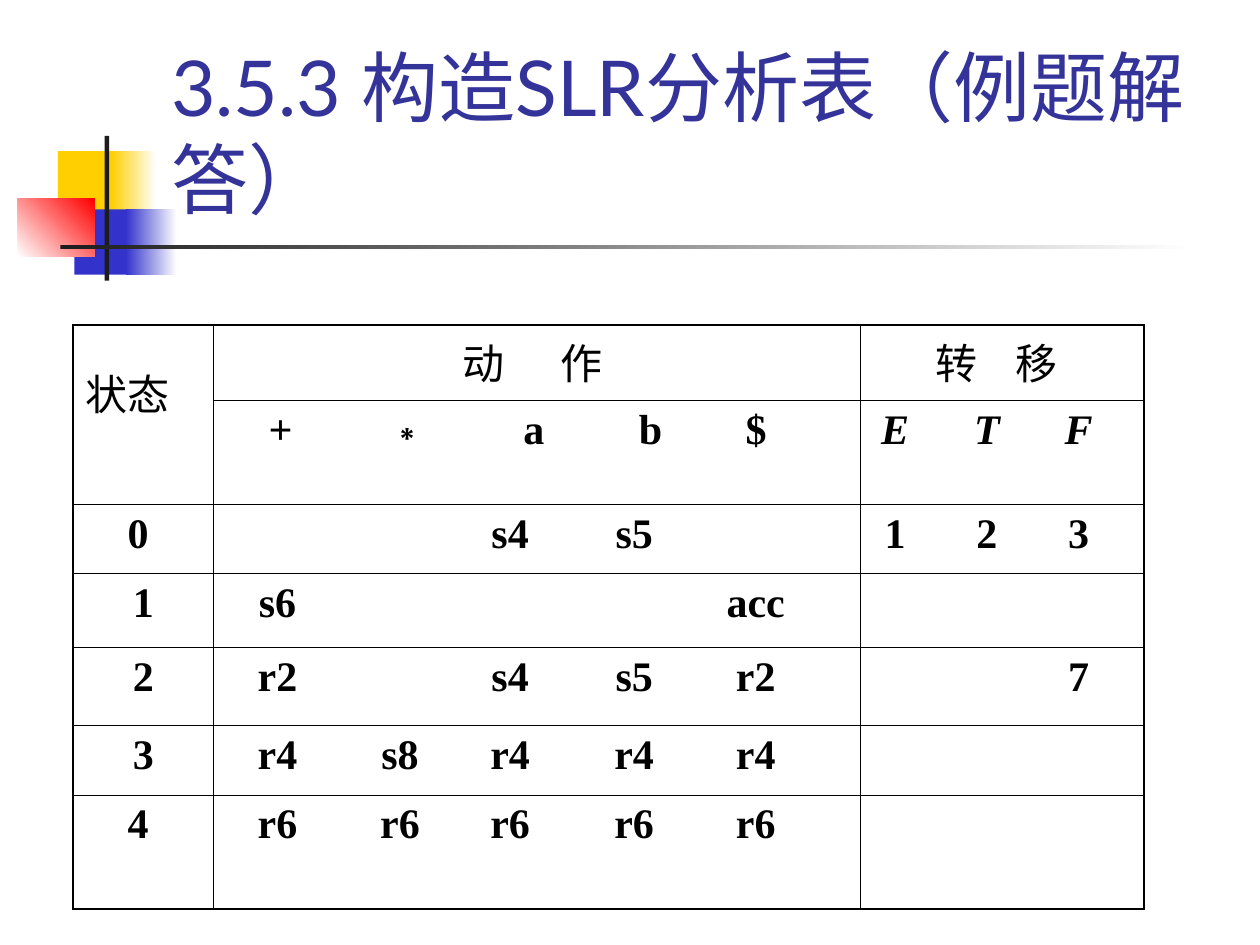
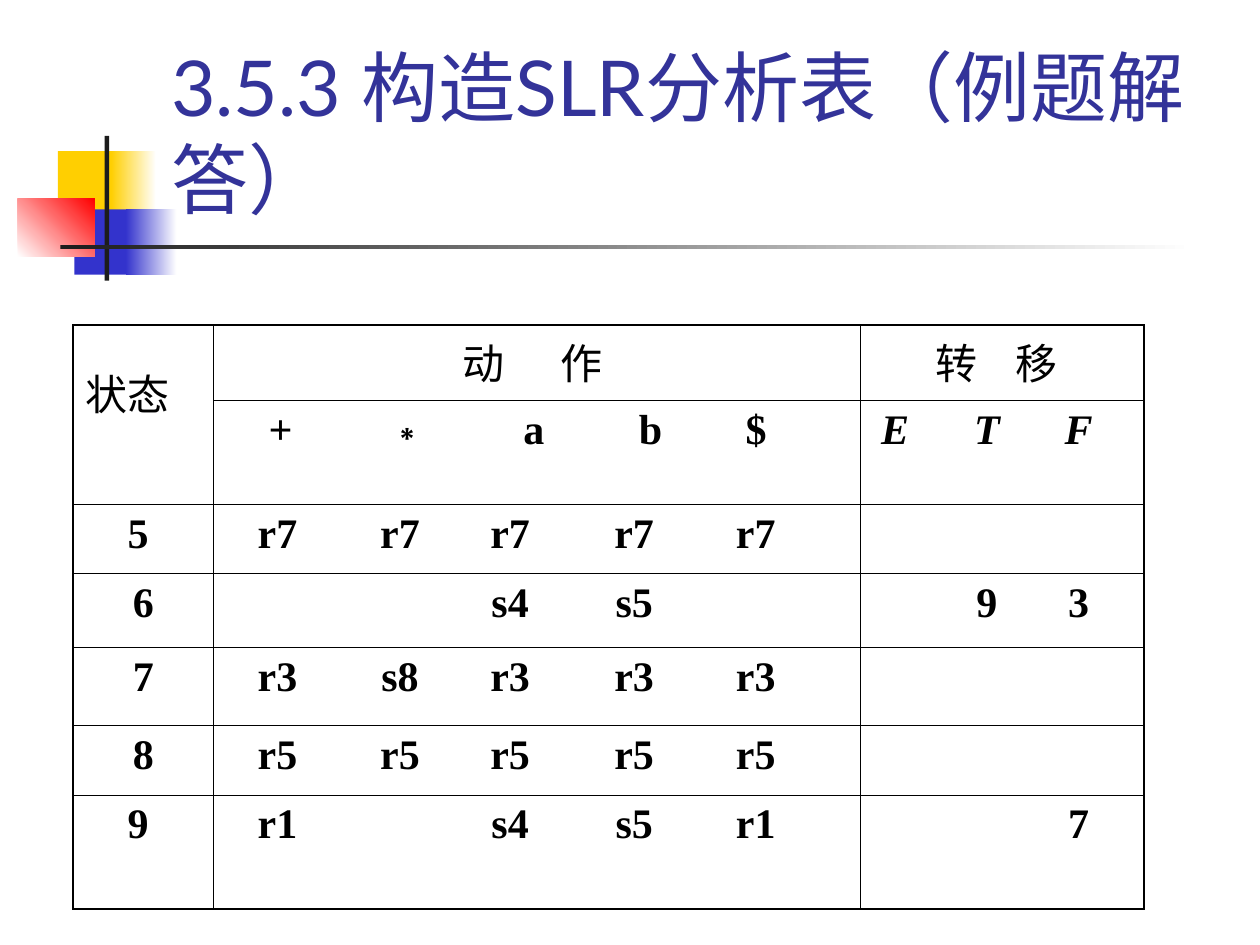
from dataclasses import dataclass

import pptx
import pptx.dml.color
import pptx.enum.shapes
import pptx.enum.text
import pptx.oxml.ns
import pptx.util
from lxml import etree

Cm = pptx.util.Cm
Pt = pptx.util.Pt
qn = pptx.oxml.ns.qn


@dataclass(frozen=True)
class Theme:
    white: str = "FFFFFF"
    black: str = "000000"
    ink: str = "1C1C1C"
    yellow: str = "FFCF01"
    blue: str = "3333CC"
    red: str = "FF0000"
    title: str = "333399"
    title_font: str = "Lato"
    body_font: str = "Times New Roman"
    symbol_font: str = "Arial"
    chinese_font: str = "Noto Sans CJK SC"
    title_size: int = 44
    body_size: int = 24
    outer_line: float = 1.08
    inner_line: float = 0.45


THEME = Theme()

TITLE = "3.5.3 构造SLR分析表（例题解答）"
TITLE_BOX = (3.2, 0.58, 21.64, 4.06)
EMBLEM_BOX = (0.36, 2.74, 23.72, 2.92)
TABLE_BOX = (1.47, 6.55, 21.59, 11.73)

COLUMN_WIDTHS = (2.84, 13.03, 5.72)
ROW_HEIGHTS = (1.52, 2.1, 1.39, 1.5, 1.57, 1.4, 2.29)

ACTION_HEADING_STOPS = (5.18, 7.16)
GOTO_HEADING_STOPS = (1.68, 3.3)
SYMBOL_STOPS = (1.09, 3.65, 6.2, 8.55, 10.68)
ACTION_STOPS = (1.03, 3.5, 5.72, 8.22, 10.67)
GOTO_STOPS = (0.45, 2.3, 4.15)

SYMBOLS = ("+", "∗", "a", "b", "$")
NONTERMINALS = ("E", "T", "F")
NO_GOTO = ("", "", "")

STATES_0_TO_4 = (
    ("0 ", ("", "", "s4", "s5", ""), ("1", "2", "3")),
    ("1", ("s6", "", "", "", "acc"), NO_GOTO),
    ("2", ("r2", "", "s4", "s5", "r2"), ("", "", "7")),
    ("3", ("r4", "s8", "r4", "r4", "r4"), NO_GOTO),
    ("4 ", ("r6",) * 5, NO_GOTO),
)
STATES_5_TO_9 = (
    ("5 ", ("r7",) * 5, NO_GOTO),
    ("6", ("", "", "s4", "s5", ""), ("", "9", "3")),
    ("7", ("r3", "s8", "r3", "r3", "r3"), NO_GOTO),
    ("8", ("r5",) * 5, NO_GOTO),
    ("9 ", ("r1", "", "s4", "s5", "r1"), ("", "", "7")),
)


def rgb(value):
    return pptx.dml.color.RGBColor.from_string(value)


def write_text(frame, text, font=THEME.body_font, size=THEME.body_size,
               color=THEME.black, bold=False, italic=False, align="LEFT",
               spacing=None, stops=()):
    paragraph = frame.paragraphs[0]
    if stops:
        tabs = etree.SubElement(paragraph._p.get_or_add_pPr(), qn("a:tabLst"))
        for stop in stops:
            etree.SubElement(tabs, qn("a:tab"), pos=str(int(Cm(stop))), algn="ctr")
    paragraph.alignment = getattr(pptx.enum.text.PP_ALIGN, align)
    if spacing:
        paragraph.line_spacing = spacing
    before, symbol, after = text.partition("∗")
    pieces = ((before, font), (symbol, THEME.symbol_font), (after, font))
    for content, typeface in pieces:
        if not content:
            continue
        run = paragraph.add_run()
        run.text = content
        run.font.name = typeface
        run.font.size = Pt(size)
        run.font.bold = bold
        run.font.italic = italic
        run.font.color.rgb = rgb(color)
        latin = run._r.rPr.find(qn("a:latin"))
        east_asian = etree.Element(qn("a:ea"), typeface=THEME.chinese_font)
        latin.addnext(east_asian)


def write_entries(cell, entries, stops, **text_format):
    if any(entries):
        text = "".join("\t" + entry for entry in entries).rstrip("\t")
        write_text(cell.text_frame, text, stops=stops, **text_format)


def add_block(slide, box, start, end=None, angle=0):
    block = slide.shapes.add_shape(
        pptx.enum.shapes.MSO_SHAPE.RECTANGLE, *map(Cm, box))
    block.shadow.inherit = False
    block.line.fill.background()
    if end is None:
        block.fill.solid()
        block.fill.fore_color.rgb = rgb(start)
        return
    block.fill.gradient()
    block.fill.gradient_angle = angle
    for stop, color, position in zip(block.fill.gradient_stops, (start, end), (0, 1)):
        stop.color.rgb = rgb(color)
        stop.position = position


def add_emblem(slide, box):
    left, top, width, height = box

    def place(x, y, w, h, *colors, **options):
        add_block(slide, (left + x, top + y, w, h), *colors, **options)

    side = 1.32
    for x, fade_x, y, solid_w, fade_w, color in (
        (0.81, 1.88, 0.31, 1.22, 0.91, THEME.yellow),
        (1.14, 2.18, 1.48, 1.17, 1.02, THEME.blue),
    ):
        place(x, y, solid_w, side, color)
        place(fade_x, y, fade_w, side, color, THEME.white)
    place(0, 1.27, 1.55, 1.17, THEME.white, THEME.red, angle=45)
    place(1.75, 0, 0.09, height, THEME.ink)
    place(0.86, 2.2, width - 0.86, 0.09, THEME.ink, THEME.white)


def add_title(slide, box):
    frame = slide.shapes.add_textbox(*map(Cm, box)).text_frame
    frame.word_wrap = True
    frame.vertical_anchor = pptx.enum.text.MSO_ANCHOR.BOTTOM
    write_text(frame, TITLE, font=THEME.title_font, size=THEME.title_size,
               color=THEME.title)


def rule_cell(cell, outer_sides):
    cell.fill.solid()
    cell.fill.fore_color.rgb = rgb(THEME.white)
    properties = cell._tc.get_or_add_tcPr()
    for index, side in enumerate("LRTB"):
        weight = THEME.outer_line if side in outer_sides else THEME.inner_line
        line = etree.Element(qn("a:ln" + side), w=str(int(Pt(weight))))
        fill = etree.SubElement(line, qn("a:solidFill"))
        etree.SubElement(fill, qn("a:srgbClr"), val=THEME.black)
        properties.insert(index, line)


def add_parsing_table(slide, box, states):
    rows, columns = len(ROW_HEIGHTS), len(COLUMN_WIDTHS)
    table = slide.shapes.add_table(rows, columns, *map(Cm, box)).table
    table.first_row = table.horz_banding = False
    for column, width in zip(table.columns, COLUMN_WIDTHS):
        column.width = Cm(width)
    for row, height in zip(table.rows, ROW_HEIGHTS):
        row.height = Cm(height)
    for r in range(rows):
        for c in range(columns):
            edges = {"L": c == 0, "R": c == columns - 1,
                     "T": r == 0, "B": r == rows - 1}
            rule_cell(table.cell(r, c), [side for side in edges if edges[side]])

    table.cell(0, 0).merge(table.cell(1, 0))
    write_text(table.cell(0, 0).text_frame, "状态", spacing=1.5)
    write_entries(table.cell(0, 1), "动作", ACTION_HEADING_STOPS,
                  font=THEME.chinese_font)
    write_entries(table.cell(0, 2), "转移", GOTO_HEADING_STOPS,
                  font=THEME.chinese_font)
    write_entries(table.cell(1, 1), SYMBOLS, SYMBOL_STOPS, bold=True)
    write_entries(table.cell(1, 2), NONTERMINALS, GOTO_STOPS, bold=True, italic=True)
    for r, (state, actions, gotos) in enumerate(states, start=2):
        write_text(table.cell(r, 0).text_frame, state, bold=True, align="CENTER")
        write_entries(table.cell(r, 1), actions, ACTION_STOPS, bold=True)
        write_entries(table.cell(r, 2), gotos, GOTO_STOPS, bold=True)


def add_parsing_slide(deck, states):
    slide = deck.slides.add_slide(deck.slide_layouts[6])
    add_emblem(slide, EMBLEM_BOX)
    add_title(slide, TITLE_BOX)
    add_parsing_table(slide, TABLE_BOX, states)


def main():
    deck = pptx.Presentation()
    deck.slide_width, deck.slide_height = Cm(25.4), Cm(19.05)
    for states in (STATES_0_TO_4, STATES_5_TO_9):
        add_parsing_slide(deck, states)
    deck.save("out.pptx")


if __name__ == "__main__":
    main()
